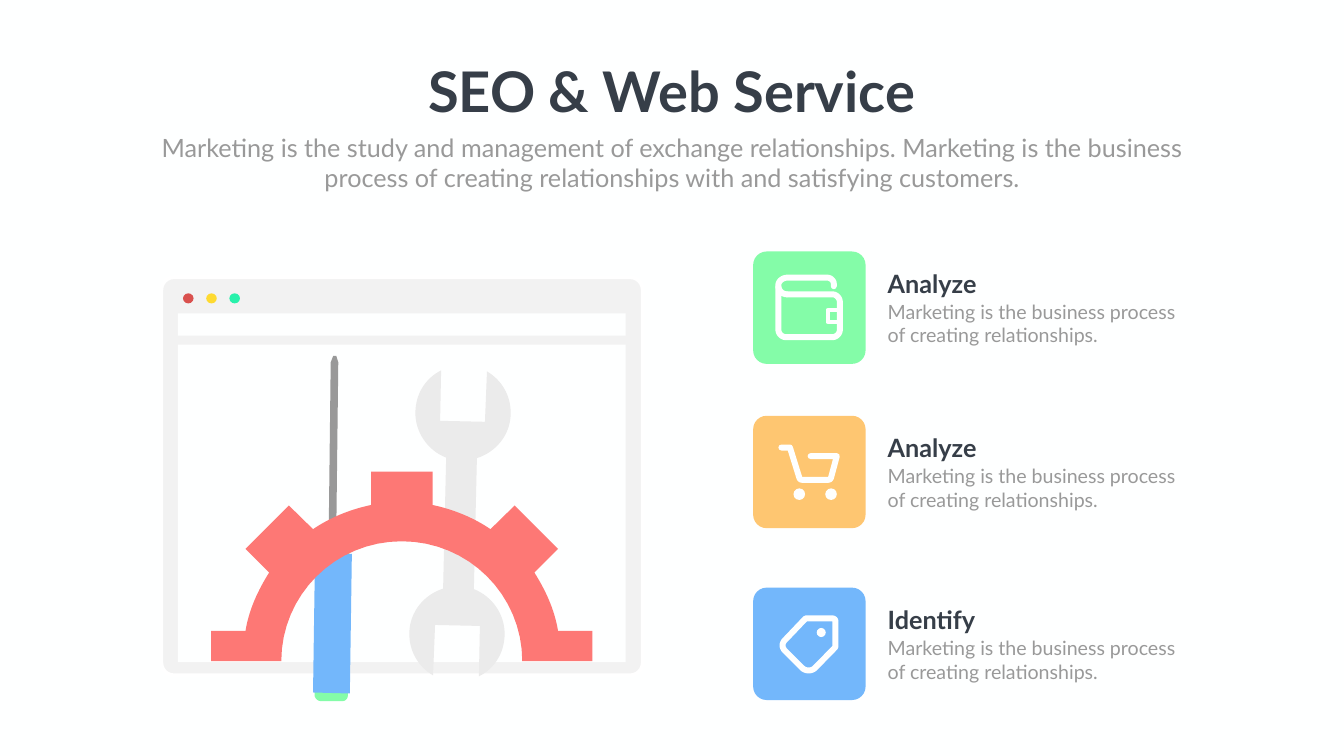
import pptx
import pptx.dml.color
import pptx.enum.shapes
import pptx.enum.text
import pptx.util
from lxml import etree
from pptx.util import Inches

COLORS = {
    "page": "FEFFFF", "dark": "363E48", "gray": "999999", "frame": "F2F2F2",
    "white": "FFFFFF", "wrench": "EBEBEB", "coral": "FD7875", "green": "84FCA8",
    "orange": "FEC671", "blue": "73B7FB", "red dot": "D9514E",
    "yellow dot": "FEDA31", "green dot": "28F1AB",
}
RGB = {name: pptx.dml.color.RGBColor.from_string(code) for name, code in COLORS.items()}
SHAPES = pptx.enum.shapes.MSO_SHAPE
PP_ALIGN = pptx.enum.text.PP_ALIGN


def trace(steps):
    """Return points; a step of two numbers is a corner, of six a Bezier curve."""
    points = []
    for step in steps:
        if len(step) == 2:
            points.append(step)
            continue
        nodes = [points[-1], step[:2], step[2:4], step[4:]]
        for i in range(1, 17):
            t = i / 16
            weights = [(1 - t) ** 3, 3 * t * (1 - t) ** 2, 3 * t * t * (1 - t), t ** 3]
            points.append(tuple(sum(w * n[axis] for w, n in zip(weights, nodes))
                                for axis in (0, 1)))
    return points


def paint(shape, fill=None, line=None, width=0):
    shape.shadow.inherit = False
    if fill:
        shape.fill.solid()
        shape.fill.fore_color.rgb = RGB[fill]
    else:
        shape.fill.background()
    if line:
        shape.line.color.rgb = RGB[line]
        shape.line.width = pptx.util.Pt(width)
    else:
        shape.line.fill.background()


prs = pptx.Presentation()
prs.slide_width, prs.slide_height = Inches(26.66), Inches(15)
slide = prs.slides.add_slide(prs.slide_layouts[5])
slide.background.fill.solid()
slide.background.fill.fore_color.rgb = RGB["page"]
shapes = slide.shapes

# Browser window: kind, left, top, width, height, corner, fill, line, line width
window_parts = [
    (SHAPES.ROUNDED_RECTANGLE, 3.2, 5.5, 9.55, 7.9, 0.25, "frame", "white", 5.5),
    (SHAPES.RECTANGLE, 3.53, 6.22, 8.88, 0.44, 0, "page", None, 0),
    (SHAPES.RECTANGLE, 3.53, 6.84, 8.88, 6.3, 0, "page", None, 0),
]
for i, color in enumerate(("red dot", "yellow dot", "green dot")):
    window_parts.append((SHAPES.OVAL, 3.63 + 0.46 * i, 5.82, 0.21, 0.2, 0, color, None, 0))
for kind, left, top, width, height, corner, fill, line, weight in window_parts:
    part = shapes.add_shape(kind, Inches(left), Inches(top), Inches(width), Inches(height))
    if corner:
        part.adjustments[0] = corner / min(width, height)
    paint(part, fill, line, weight)

# Tools: the wrench is half a turn symmetric, the gear is mirrored
wrench_head = trace([
    (9.46, 9.09), (9.84, 8.97, 10.12, 8.63, 10.13, 8.22),
    (10.14, 7.85, 9.95, 7.54, 9.66, 7.37), (9.62, 8.37), (8.73, 8.35), (8.75, 7.35),
    (8.45, 7.5, 8.25, 7.8, 8.24, 8.17), (8.23, 8.58, 8.49, 8.94, 8.85, 9.08),
])
wrench = wrench_head + [(18.25 - x, 20.77 - y) for x, y in wrench_head]
gear_right = trace([
    (7.97, 10.74), (9.29, 10.74, 10.36, 11.8, 10.36, 13.12), (11.75, 13.12),
    (11.75, 12.52), (11.07, 12.52), (11, 12.09, 10.82, 11.71, 10.6, 11.36),
    (11.07, 10.89), (10.21, 10.03), (9.73, 10.5), (9.39, 10.27, 9, 10.11, 8.58, 10.02),
    (8.58, 9.36),
])
gear = gear_right + [(2 * 7.97 - x, y) for x, y in reversed(gear_right)]
blade = [(6.67, 7.06), (6.61, 7.06), (6.56, 7.19), (6.52, 10.59), (6.67, 10.59), (6.71, 7.19)]
cap = trace([
    (6.78, 13.91), (6.36, 13.91), (6.3, 13.91, 6.24, 13.85, 6.24, 13.79), (6.29, 10.88),
    (6.29, 10.82, 6.34, 10.76, 6.41, 10.76), (6.83, 10.77),
    (6.89, 10.77, 6.93, 10.83, 6.93, 10.89), (6.9, 13.8),
    (6.9, 13.86, 6.85, 13.92, 6.78, 13.91),
])
handle = [(6.94, 13.76), (6.21, 13.74), (6.25, 10.98), (6.98, 10.99)]
for outline, fill in ((wrench, "wrench"), (blade, "gray"), (cap, "green"),
                      (handle, "blue"), (gear, "coral")):
    points = [(Inches(x), Inches(y)) for x, y in outline]
    builder = shapes.build_freeform(*points[0])
    builder.add_line_segments(points[1:], close=True)
    paint(builder.convert_to_shape(), fill)

# Icon tiles
TILE_LEFT, TILE_SIZE = 14.94, 2.23
services = [("Analyze", 4.99, "green"), ("Analyze", 8.25, "orange"), ("Identify", 11.66, "blue")]
for service, top, color in services:
    tile = shapes.add_shape(SHAPES.ROUNDED_RECTANGLE, Inches(TILE_LEFT), Inches(top),
                            Inches(TILE_SIZE), Inches(TILE_SIZE))
    tile.adjustments[0] = 0.12
    paint(tile, color)

# Icon strokes: steps, closed, line width
wallet_body = [
    (15.44, 5.69), (15.44, 6.54), (15.44, 6.62, 15.51, 6.69, 15.59, 6.69), (16.51, 6.69),
    (16.59, 6.69, 16.66, 6.62, 16.66, 6.54), (16.66, 6),
    (16.66, 5.91, 16.59, 5.84, 16.51, 5.84), (15.61, 5.84),
]
wallet_flap = [
    (15.61, 5.84), (15.51, 5.84, 15.43, 5.75, 15.44, 5.65),
    (15.45, 5.57, 15.53, 5.51, 15.62, 5.51), (16.41, 5.51),
    (16.48, 5.51, 16.54, 5.57, 16.54, 5.63), (16.54, 5.68),
]
wallet_clasp = [(16.42, 6.15), (16.66, 6.15), (16.66, 6.39), (16.42, 6.39)]
cart_basket = [
    (15.5, 8.88), (15.67, 8.88), (15.85, 9.46), (15.86, 9.5, 15.88, 9.52, 15.91, 9.52),
    (16.43, 9.52), (16.46, 9.52, 16.48, 9.5, 16.49, 9.46), (16.6, 9.05), (16.08, 9.05),
]
tag = [
    (15.98, 12.27), (16.51, 12.27), (16.54, 12.27, 16.57, 12.29, 16.57, 12.32),
    (16.57, 12.84), (16.17, 13.25), (16.1, 13.32, 15.98, 13.32, 15.91, 13.25),
    (15.59, 12.93), (15.5, 12.85, 15.5, 12.76, 15.59, 12.68),
]
for steps, closed, width in ((wallet_clasp, True, 6), (wallet_body, False, 8.5),
                             (wallet_flap, False, 8.5), (cart_basket, False, 8.5),
                             (tag, True, 8.5)):
    points = [(Inches(x), Inches(y)) for x, y in trace(steps)]
    builder = shapes.build_freeform(*points[0])
    builder.add_line_segments(points[1:], close=closed)
    stroke = builder.convert_to_shape()
    paint(stroke, line="page", width=width)
    line_xml = stroke.line._get_or_add_ln()
    line_xml.set("cap", "rnd")
    etree.SubElement(line_xml, pptx.oxml.ns.qn("a:round"))

# Cart wheels and tag hole
for left, top, size in ((15.74, 9.69, 0.23), (16.37, 9.69, 0.23), (16.2, 12.46, 0.18)):
    paint(shapes.add_shape(SHAPES.OVAL, Inches(left), Inches(top), Inches(size), Inches(size)),
          "page")

# Texts: words, left, top, width, height, size, bold, colour, alignment, wrap
texts = [
    ("SEO & Web Service", 8.28, 1.08, 10.09, 1.45, 80, True, "dark", PP_ALIGN.CENTER, False),
    ("Marketing is the study and management of exchange relationships. Marketing is the "
     "business process of creating relationships with and satisfying customers.",
     2.92, 2.57, 20.82, 1.31, 36, False, "gray", PP_ALIGN.CENTER, True),
]
for service, top, color in services:
    texts += [
        ("Marketing is the business process of creating relationships.",
         17.51, top + 0.91, 5.99, 1.04, 28, False, "gray", PP_ALIGN.LEFT, True),
        (service, 17.51, top + 0.28, 1.97, 0.71, 36, True, "dark", PP_ALIGN.LEFT, False),
    ]
for i, (words, left, top, width, height, size, bold, color, align, wrap) in enumerate(texts):
    place = [Inches(length) for length in (left, top, width, height)]
    if i == 0:
        box = shapes.title
        box.left, box.top, box.width, box.height = place
    else:
        box = shapes.add_textbox(*place)
    frame = box.text_frame
    frame.text = words
    frame_format = {"word_wrap": wrap, "vertical_anchor": pptx.enum.text.MSO_ANCHOR.TOP,
                    "auto_size": pptx.enum.text.MSO_AUTO_SIZE.SHAPE_TO_FIT_TEXT}
    for name, value in frame_format.items():
        setattr(frame, name, value)
    paragraph = frame.paragraphs[0]
    paragraph.alignment = align
    font = paragraph.runs[0].font
    for name, value in {"name": "Lato", "size": pptx.util.Pt(size), "bold": bold}.items():
        setattr(font, name, value)
    font.color.rgb = RGB[color]

prs.save("out.pptx")
